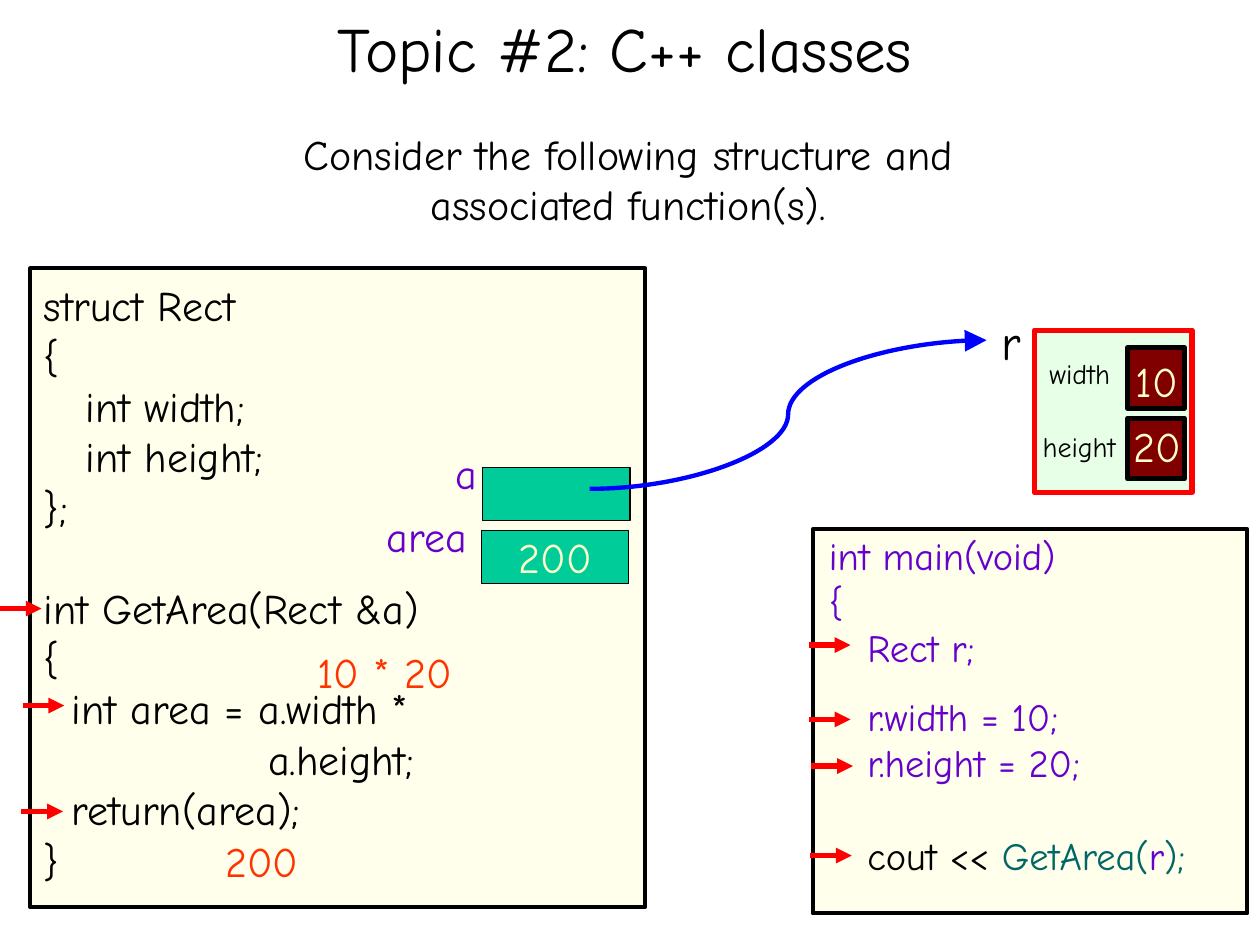
from lxml.etree import SubElement
from pptx import Presentation
from pptx.dml.color import RGBColor
from pptx.enum.shapes import MSO_CONNECTOR, MSO_SHAPE
from pptx.enum.text import MSO_ANCHOR, PP_ALIGN
from pptx.oxml.ns import qn
from pptx.util import Inches, Pt

FONT = "Comic Neue"
BLACK, PURPLE, TEAL, ORANGE, CREAM = "000000", "6600CC", "006666", "FF3300", "FFFFCC"
LEFT, CENTER = PP_ALIGN.LEFT, PP_ALIGN.CENTER
TAB_STOP = 1

TITLE = "Topic #2: C++ classes"
INTRO = "Consider the following structure and associated function(s)."

# Each code line: its spans as (text, colour), and the space before it in points
STRUCT_CODE = [
    ([(line, BLACK)], gap) for line, gap in [
        ("struct Rect", 0),
        ("{", 0),
        ("   int width;", 0),
        ("   int height;", 0),
        ("};", 0),
        ("int GetArea(Rect &a)", 28.8),
        ("{", 0),
        ("  int area = a.width *", 0),
        ("\t       a.height;", 0),
        ("  return(area);", 0),
        ("}", 0),
    ]
]
MAIN_CODE = [
    ([("int main(void)", PURPLE)], 0),
    ([("{", PURPLE)], 0),
    ([("   Rect r;", PURPLE)], 0),
    ([("   r.width = 10;", PURPLE)], 13.2),
    ([("   r.height = 20;", PURPLE)], 0),
    ([("   cout << ", BLACK), ("GetArea(", TEAL), ("r", PURPLE), (");", TEAL)], 26.4),
]

# left, top, width, height, fill, line colour, line width
PANELS = [
    (6.45, 4.2, 3.45, 3.05, "FFFFEB", BLACK, 2.25),   # main program
    (0.24, 2.13, 4.88, 5.07, "FFFFEB", BLACK, 2.25),  # struct and function
    (8.21, 2.62, 1.25, 1.29, "E7FFE7", "FF0000", 3),  # object r
    (8.95, 2.76, 0.45, 0.48, "800000", BLACK, 3),     # r.width
    (8.95, 3.32, 0.45, 0.48, "800000", BLACK, 3),     # r.height
    (3.83, 3.71, 1.17, 0.42, "00CC99", BLACK, 0.75),  # parameter a
    (3.82, 4.21, 1.17, 0.42, "00CC99", BLACK, 0.75),  # local area
]

# text, left, top, width, height, size, colour, alignment
LABELS = [
    ("r", 7.83, 2.42, 0.39, 0.57, 28, BLACK, CENTER),
    ("width", 8.16, 2.78, 0.82, 0.38, 16, BLACK, CENTER),
    ("height", 8.13, 3.36, 0.87, 0.37, 16, BLACK, CENTER),
    ("10", 8.9, 2.77, 0.56, 0.5, 24, CREAM, CENTER),
    ("20", 8.88, 3.29, 0.61, 0.5, 24, CREAM, CENTER),
    ("a", 3.52, 3.5, 0.37, 0.5, 24, PURPLE, LEFT),
    ("area", 2.97, 4, 1, 0.5, 24, PURPLE, LEFT),
    ("10 * 20", 2.42, 5.08, 1.34, 0.5, 24, ORANGE, LEFT),
    ("200", 4.02, 4.17, 0.81, 0.5, 24, CREAM, LEFT),
    ("200", 1.69, 6.58, 0.81, 0.5, 24, ORANGE, LEFT),
]

STEP_LENGTH = 0.33
STEPS = [(6.42, 5.12), (6.42, 5.71), (6.44, 6.08), (6.43, 6.79),
         (0, 4.83), (0.18, 5.6), (0.17, 6.44)]
REFERENCE = (4.68, 3.88, 7.83, 2.7)


def color(value):
    return RGBColor.from_string(value)


def add_tab_stop(para):
    stops = SubElement(para._p.get_or_add_pPr(), qn("a:tabLst"))
    SubElement(stops, qn("a:tab"), pos=str(Inches(TAB_STOP)), algn="l")


def write(frame, lines, size, align=LEFT, wrap=True):
    frame.word_wrap = wrap
    for index, (spans, gap) in enumerate(lines):
        para = frame.paragraphs[0] if index == 0 else frame.add_paragraph()
        para.alignment = align
        if gap:
            para.space_before = Pt(gap)
        if spans[0][0].startswith("\t"):
            add_tab_stop(para)
        for text, text_color in spans:
            span = para.add_run()
            span.text = text
            for name, value in {"name": FONT, "size": Pt(size)}.items():
                setattr(span.font, name, value)
            span.font.color.rgb = color(text_color)


def add_text(page, place, lines, size, align=LEFT, wrap=True):
    box = page.shapes.add_textbox(*map(Inches, place))
    write(box.text_frame, lines, size, align, wrap)


def add_panel(page, place, fill, line, width):
    panel = page.shapes.add_shape(MSO_SHAPE.RECTANGLE, *map(Inches, place))
    panel.shadow.inherit = False
    panel.fill.solid()
    panel.fill.fore_color.rgb = color(fill)
    panel.line.color.rgb = color(line)
    panel.line.width = Pt(width)


def add_arrow(page, kind, ends, line, width, head="med"):
    arrow = page.shapes.add_connector(kind, *map(Inches, ends))
    arrow.line.color.rgb = color(line)
    arrow.line.width = Pt(width)
    SubElement(arrow.line._get_or_add_ln(), qn("a:tailEnd"), type="triangle", w=head, len=head)
    SubElement(arrow._element.spPr, qn("a:effectLst"))


def main():
    deck = Presentation()
    deck.slide_width, deck.slide_height = Inches(10), Inches(7.5)
    page = deck.slides.add_slide(deck.slide_layouts[5])

    title = page.shapes.title
    place = {"left": 0, "top": -0.25, "width": 9.92, "height": 1.25}
    for name, value in place.items():
        setattr(title, name, Inches(value))
    title.text_frame.vertical_anchor = MSO_ANCHOR.MIDDLE
    write(title.text_frame, [([(TITLE, BLACK)], 0)], 36, CENTER)

    for *place, fill, line, width in PANELS:
        add_panel(page, place, fill, line, width)

    add_text(page, (1.95, 0.97, 6.07, 0.9), [([(INTRO, BLACK)], 0)], 24, CENTER)
    add_text(page, (0.25, 2.17, 5.17, 4.89), STRUCT_CODE, 24)
    add_text(page, (6.48, 4.17, 3.22, 2.89), MAIN_CODE, 22)
    for text, *place, size, text_color, align in LABELS:
        add_text(page, place, [([(text, text_color)], 0)], size, align, wrap=False)

    for left, top in STEPS:
        add_arrow(page, MSO_CONNECTOR.STRAIGHT, (left, top, left + STEP_LENGTH, top), "FF0000", 3)
    add_arrow(page, MSO_CONNECTOR.CURVE, REFERENCE, "0000FF", 2.5, head="lg")

    deck.save("out.pptx")


if __name__ == "__main__":
    main()
